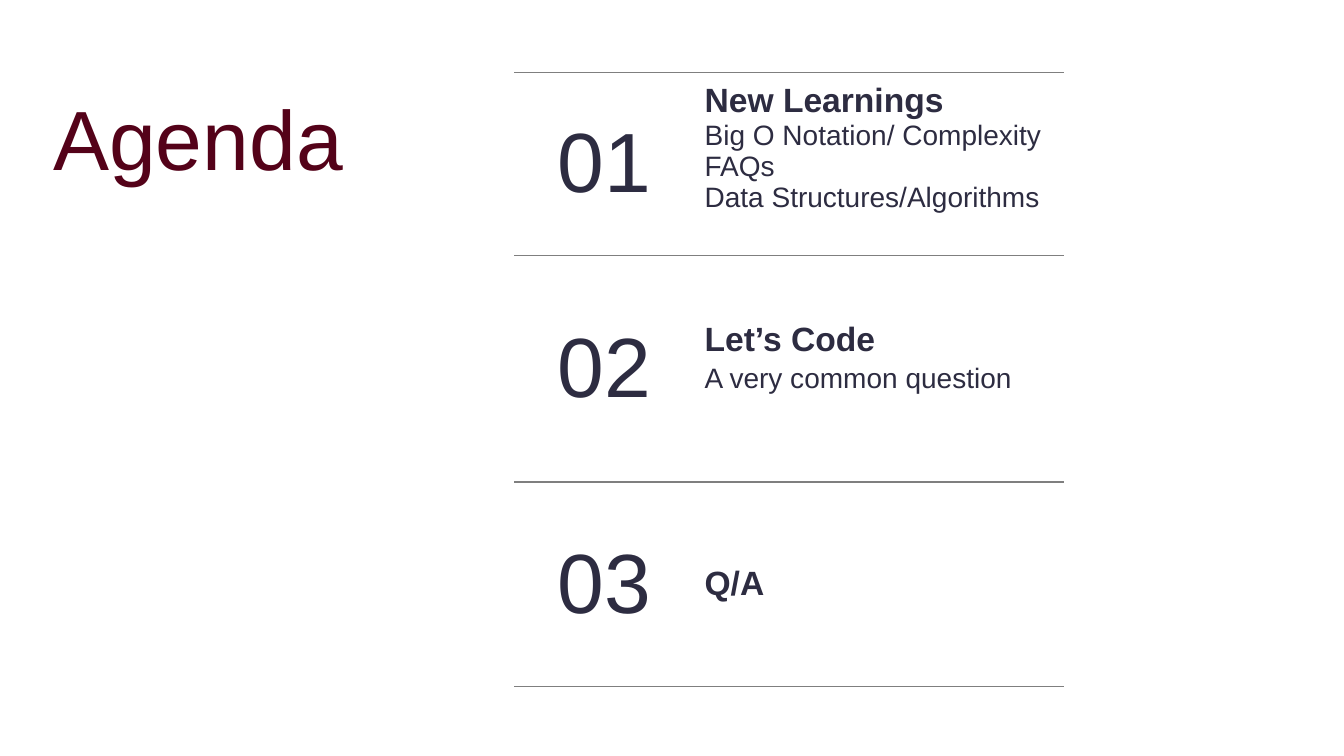
from lxml import etree
from pptx import Presentation
from pptx.dml.color import RGBColor
from pptx.enum import text as txt
from pptx.oxml import ns
from pptx.util import Pt

FONT = "Arial"
WINE, INK, GREY = "540219", "2D2C41", "7F7F7F"
PLAIN = "{2D5ABB26-0587-4C30-8999-92F81FD0307C}"
MID = txt.MSO_ANCHOR.MIDDLE
COLS = (128.9, 264.2)
ITEMS = [
    ("New Learnings",
     ["Big O Notation/ Complexity", "FAQs", "Data Structures/Algorithms"],
     128.4, 0, 26),
    ("Let’s Code", ["A very common question"], 162, 3, 19),
    ("Q/A", [], 146.2, 0, 3.6),
]


def paint(color, code):
    color.rgb = RGBColor.from_string(code)


def write(frame, line, size, code=INK, bold=False, align=None, gap=0, more=False):
    para = frame.add_paragraph() if more else frame.paragraphs[0]
    para.alignment = align
    para.space_before = Pt(gap)
    run = para.add_run()
    run.text = line
    run.font.name = FONT
    run.font.size = Pt(size)
    run.font.bold = bold
    paint(run.font.color, code)


def title(slide, line):
    box = slide.shapes.add_textbox(Pt(31), Pt(51.8), Pt(720), Pt(85.7))
    frame = box.text_frame
    frame.word_wrap = True
    frame.vertical_anchor = txt.MSO_ANCHOR.BOTTOM
    write(frame, line, 60, WINE)


def rule(cell):
    props = cell._tc.get_or_add_tcPr()
    for side in ("a:lnT", "a:lnB"):
        line = etree.SubElement(props, ns.qn(side), w=str(Pt(1)))
        fill = etree.SubElement(line, ns.qn("a:solidFill"))
        etree.SubElement(fill, ns.qn("a:srgbClr"), val=GREY)
    cell.fill.background()


def agenda(slide):
    high = sum(item[2] for item in ITEMS)
    frame = slide.shapes.add_table(
        len(ITEMS), len(COLS), Pt(367.2), Pt(51.8), Pt(sum(COLS)), Pt(high))
    table = frame.table
    table.first_row = table.horz_banding = False
    table._tbl.tblPr.find(ns.qn("a:tableStyleId")).text = PLAIN
    for col, wide in zip(table.columns, COLS):
        col.width = Pt(wide)
    for row, (num, item) in zip(table.rows, enumerate(ITEMS, 1)):
        head, lines, tall, gap, foot = item
        row.height = Pt(tall)
        for cell in row.cells:
            cell.vertical_anchor = MID
            rule(cell)
        mark, body = row.cells
        write(mark.text_frame, f"{num:02}", 60, align=txt.PP_ALIGN.CENTER)
        body.margin_bottom = Pt(foot)
        write(body.text_frame, head, 24, bold=True)
        for line in lines:
            write(body.text_frame, line, 20, gap=gap, more=True)


def main():
    deck = Presentation()
    deck.slide_width, deck.slide_height = Pt(960), Pt(540)
    slide = deck.slides.add_slide(deck.slide_layouts[6])
    title(slide, "Agenda")
    agenda(slide)
    deck.save("out.pptx")


if __name__ == "__main__":
    main()
